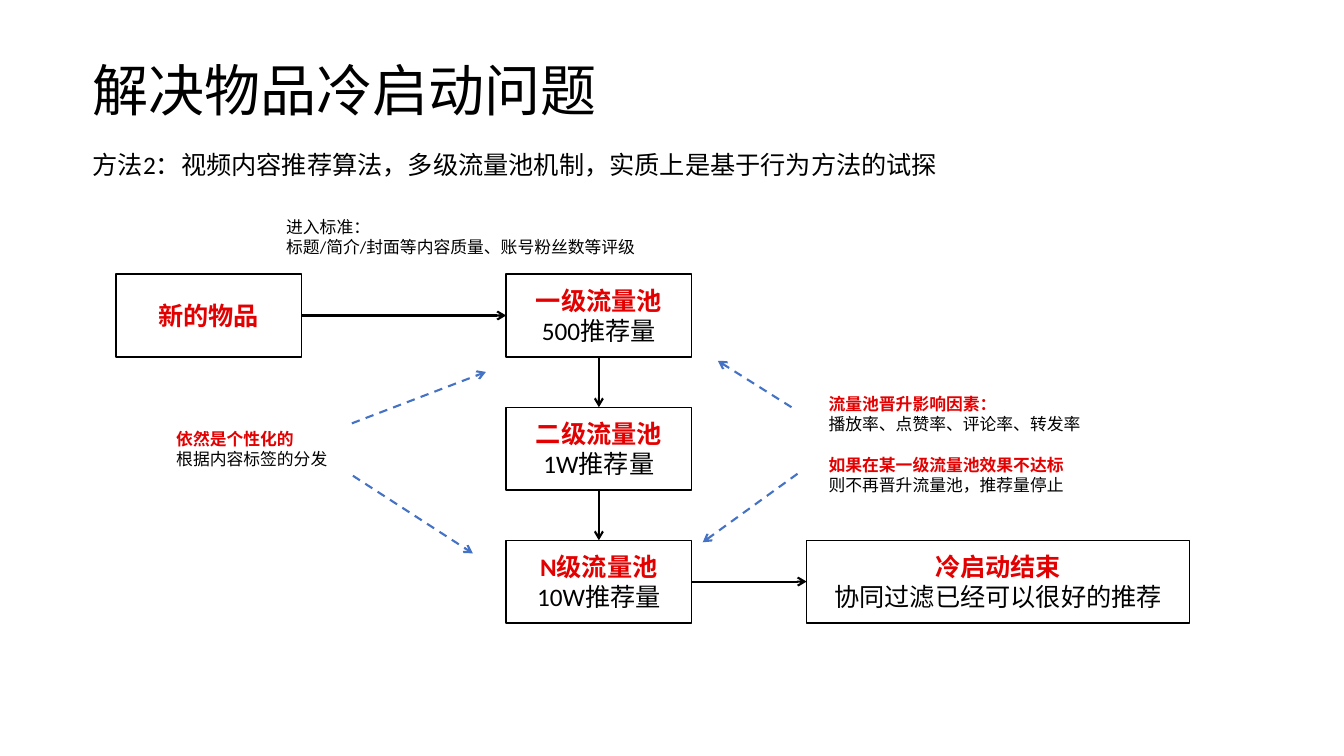
from lxml import etree
from pptx import Presentation
from pptx.dml.color import RGBColor
from pptx.enum.dml import MSO_LINE
from pptx.enum.shapes import MSO_CONNECTOR, MSO_SHAPE
from pptx.enum.text import MSO_ANCHOR, MSO_AUTO_SIZE, PP_ALIGN
from pptx.oxml.ns import qn
from pptx.util import Pt

STRAIGHT = MSO_CONNECTOR.STRAIGHT
RECTANGLE = MSO_SHAPE.RECTANGLE
DASH = MSO_LINE.DASH
MIDDLE, BOTTOM = MSO_ANCHOR.MIDDLE, MSO_ANCHOR.BOTTOM
LEFT, CENTER = PP_ALIGN.LEFT, PP_ALIGN.CENTER
NO_FIT, GROW = MSO_AUTO_SIZE.NONE, MSO_AUTO_SIZE.SHAPE_TO_FIT_TEXT

TOP_SIDE, LEFT_SIDE, BOTTOM_SIDE, RIGHT_SIDE = range(4)
EMU_PER_PX = 9144  # 100 px to the inch
FONT = "Calibri"
COLORS = {"text": "000000", "highlight": "E30000", "box": "FFFFFF",
          "outline": "000000", "hint": "4472C4"}

BOX_WIDTH, BOX_HEIGHT = 184, 82
POOL_LEFT, POOL_TOP, POOL_PITCH = 502, 272, 132
POOLS = [("一级流量池", "500推荐量"),
         ("二级流量池", "1W推荐量"),
         ("N级流量池", "10W推荐量")]
HINT_ARROWS = [((785, 404), (712, 358)), ((791, 470), (697, 538)),
               ((349, 420), (482, 369)), ((350, 472), (469, 549))]


def px(*lengths):
    return [length * EMU_PER_PX for length in lengths]


def color(name):
    return RGBColor.from_string(COLORS[name])


def write_lines(frame, lines, size, alignment=LEFT):
    """Write (text, is_highlight) lines, one paragraph each."""
    for index, (text, is_highlight) in enumerate(lines):
        paragraph = frame.paragraphs[0] if index == 0 else frame.add_paragraph()
        paragraph.text = text
        paragraph.alignment = alignment
        font = paragraph.font
        font.name = FONT
        font.size = Pt(size)
        font.bold = is_highlight
        font.color.rgb = color("highlight" if is_highlight else "text")


def set_title(slide, text):
    title = slide.shapes.title
    title.left, title.top, title.width, title.height = px(82, 30, 1000, 98)
    frame = title.text_frame
    frame.auto_size = NO_FIT
    frame.vertical_anchor = BOTTOM
    write_lines(frame, [(text, False)], 40)
    frame.paragraphs[0].line_spacing = 0.9


def add_text(slide, bounds, lines, size=12):
    frame = slide.shapes.add_textbox(*px(*bounds)).text_frame
    frame.word_wrap = True
    frame.auto_size = GROW
    write_lines(frame, lines, size)
    return frame


def add_box(slide, left, top, heading, detail=None, width=BOX_WIDTH):
    box = slide.shapes.add_shape(RECTANGLE, *px(left, top, width, BOX_HEIGHT))
    box.shadow.inherit = False
    box.fill.solid()
    box.fill.fore_color.rgb = color("box")
    box.line.color.rgb = color("outline")
    box.line.width = Pt(1)
    box.text_frame.vertical_anchor = MIDDLE
    lines = [(heading, True)] + ([(detail, False)] if detail else [])
    write_lines(box.text_frame, lines, 18, CENTER)
    return box


def add_arrow(slide, start, end, color_name):
    arrow = slide.shapes.add_connector(STRAIGHT, *px(*start, *end))
    arrow.line.color.rgb = color(color_name)
    arrow.line.width = Pt(1.5)
    if color_name == "hint":
        arrow.line.dash_style = DASH
    properties = arrow._element.spPr
    etree.SubElement(properties.find(qn("a:ln")), qn("a:tailEnd"), type="arrow")
    etree.SubElement(properties, qn("a:effectLst"))
    return arrow


def join_boxes(slide, source, source_side, target, target_side):
    arrow = add_arrow(slide, (0, 0), (0, 0), "outline")
    arrow.begin_connect(source, source_side)
    arrow.end_connect(target, target_side)


def add_flow(slide):
    new_item = add_box(slide, 115, POOL_TOP, "新的物品")
    pools = [add_box(slide, POOL_LEFT, POOL_TOP + level * POOL_PITCH, *texts)
             for level, texts in enumerate(POOLS)]
    finish = add_box(slide, 800, POOL_TOP + 2 * POOL_PITCH,
                     "冷启动结束", "协同过滤已经可以很好的推荐", 380)
    join_boxes(slide, new_item, RIGHT_SIDE, pools[0], LEFT_SIDE)
    for upper, lower in zip(pools, pools[1:]):
        join_boxes(slide, upper, BOTTOM_SIDE, lower, TOP_SIDE)
    join_boxes(slide, pools[-1], RIGHT_SIDE, finish, LEFT_SIDE)


def add_notes_beside_flow(slide):
    add_text(slide, (274, 210, 366, 50), [
        ("进入标准：", False),
        ("标题/简介/封面等内容质量、账号粉丝数等评级", False)])
    promotion = add_text(slide, (812, 386, 270, 111), [
        ("流量池晋升影响因素：", True),
        ("播放率、点赞率、评论率、转发率", False),
        ("如果在某一级流量池效果不达标", True),
        ("则不再晋升流量池，推荐量停止", False)])
    promotion.paragraphs[2].space_before = Pt(14.5)
    add_text(slide, (165, 420, 170, 50), [
        ("依然是个性化的", True),
        ("根据内容标签的分发", False)])
    for start, end in HINT_ARROWS:
        add_arrow(slide, start, end, "hint")


def main():
    presentation = Presentation()
    presentation.slide_width, presentation.slide_height = px(1333, 750)
    title_only = presentation.slide_layouts.get_by_name("Title Only")
    slide = presentation.slides.add_slide(title_only)
    set_title(slide, "解决物品冷启动问题")
    method = add_text(slide, (82, 128, 858, 55), [
        ("方法2：视频内容推荐算法，多级流量池机制，实质上是基于行为方法的试探", False)], 18)
    method.paragraphs[0].line_spacing = 1.5
    add_flow(slide)
    add_notes_beside_flow(slide)
    presentation.save("out.pptx")


if __name__ == "__main__":
    main()
